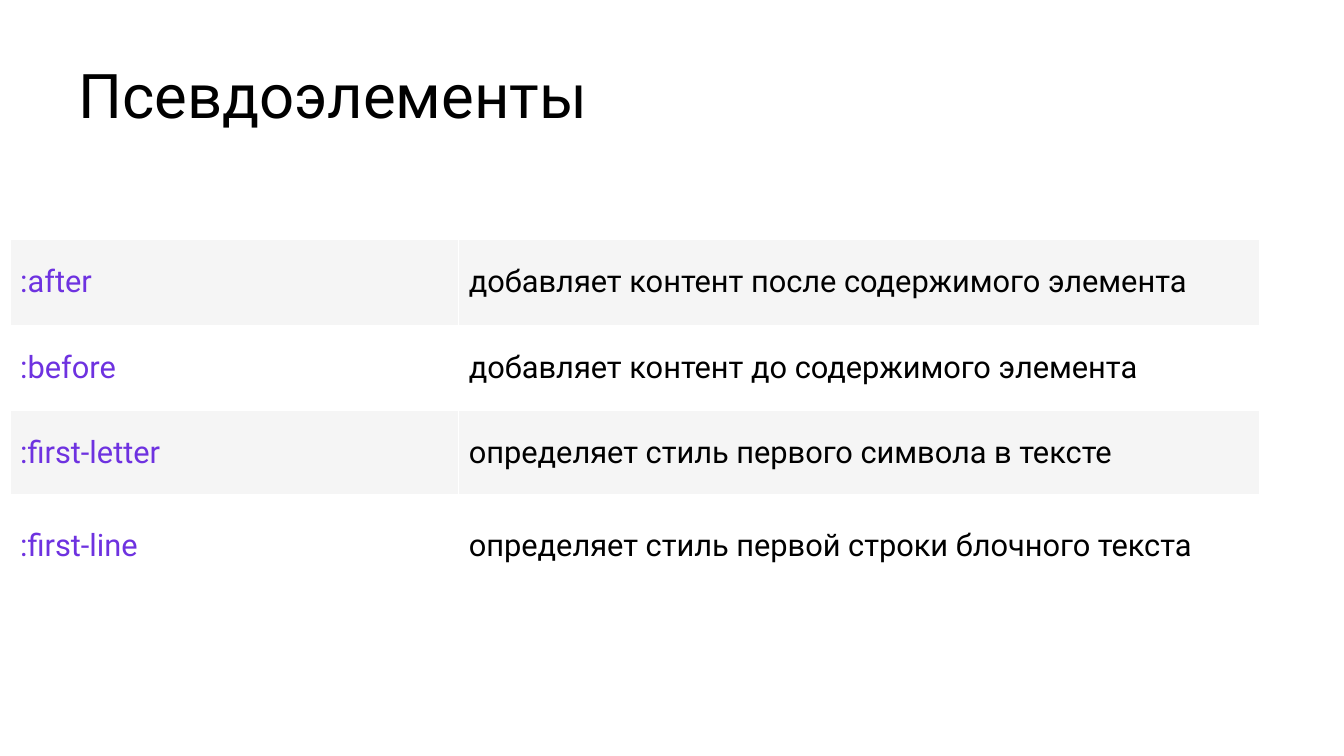
from pptx import Presentation
from pptx.dml.color import RGBColor
from pptx.enum.text import MSO_ANCHOR, MSO_AUTO_SIZE, PP_ALIGN
from pptx.oxml import parse_xml
from pptx.oxml.ns import nsdecls
from pptx.util import Inches, Pt

FONT = "Roboto"
BLACK, WHITE, GREY, PURPLE = "000000", "FFFFFF", "F5F5F5", "6E32E0"
COLS = [4.45, 7.94]
ROWS = [0.46, 0.87, 0.84, 0.84, 1.02]
ITEMS = [
    (":after", "добавляет контент после содержимого элемента"),
    (":before", "добавляет контент до содержимого элемента"),
    (":first-letter", "определяет стиль первого символа в тексте"),
    (":first-line", "определяет стиль первой строки блочного текста"),
]


def paint(target, color):
    target.rgb = RGBColor.from_string(color)


def add_run(para, text, size, color):
    run = para.add_run()
    run.text = text
    run.font.name = FONT
    run.font.size = Pt(size)
    paint(run.font.color, color)


def add_title(slide, text):
    title = slide.shapes.title
    title.left, title.top = Inches(0.68), Inches(0.5)
    title.width, title.height = Inches(11.82), Inches(0.86)
    frame = title.text_frame
    frame.auto_size = MSO_AUTO_SIZE.NONE
    frame.word_wrap = True
    frame.vertical_anchor = MSO_ANCHOR.BOTTOM
    para = frame.paragraphs[0]
    para.alignment = PP_ALIGN.LEFT
    para.line_spacing = 0.9
    add_run(para, text, 44, BLACK)


def set_edges(cell, bottom):
    props = cell._tc.get_or_add_tcPr()
    widths = {"lnL": 1, "lnR": 1, "lnT": 1, "lnB": bottom}
    for spot, (tag, width) in enumerate(widths.items()):
        props.insert(spot, parse_xml(
            f'<a:{tag} {nsdecls("a")} w="{Pt(width)}"><a:solidFill>'
            f'<a:srgbClr val="{WHITE}"/></a:solidFill></a:{tag}>'))


def style_cell(cell, color, bottom):
    cell.fill.solid()
    paint(cell.fill.fore_color, color)
    cell.vertical_anchor = MSO_ANCHOR.MIDDLE
    set_edges(cell, bottom)


def add_grid(slide):
    frame = slide.shapes.add_table(
        len(ROWS), len(COLS), Inches(0.1), Inches(1.9),
        Inches(sum(COLS)), Inches(sum(ROWS)))
    table = frame.table
    for col, width in zip(table.columns, COLS):
        col.width = Inches(width)
    for num, (row, height) in enumerate(zip(table.rows, ROWS)):
        row.height = Inches(height)
        for cell in row.cells:
            style_cell(cell, GREY if num % 2 else WHITE, 1 if num else 3)
    for num, item in enumerate(ITEMS, 1):
        for col, (text, color) in enumerate(zip(item, (PURPLE, BLACK))):
            para = table.cell(num, col).text_frame.paragraphs[0]
            add_run(para, text, 22, color)


def main():
    deck = Presentation()
    deck.slide_width, deck.slide_height = Inches(13.33), Inches(7.5)
    slide = deck.slides.add_slide(deck.slide_layouts[5])
    add_grid(slide)
    add_title(slide, "Псевдоэлементы")
    deck.save("out.pptx")


main()
